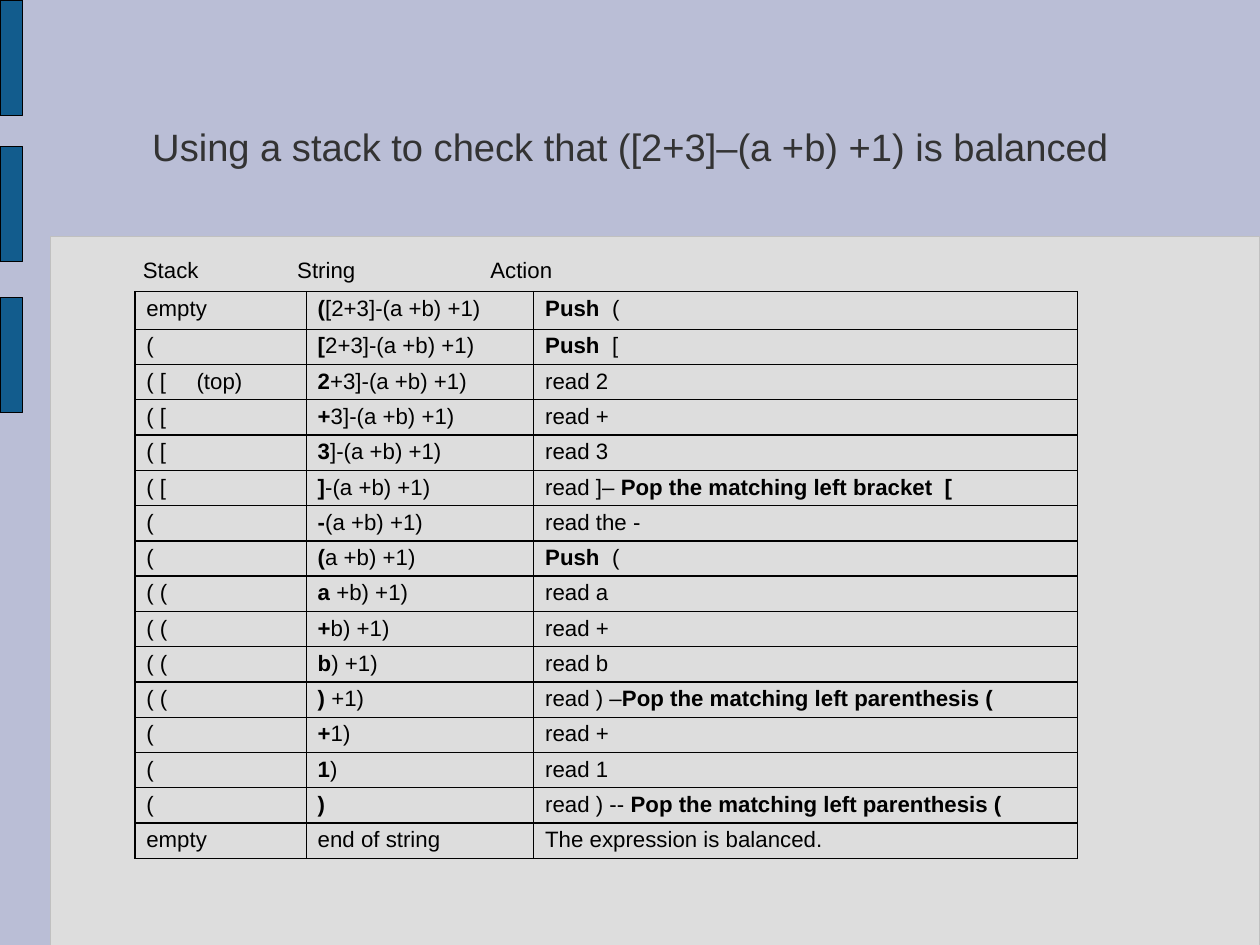
"""Build the slide that traces a stack while checking balanced brackets."""
from lxml import etree
from pptx import Presentation
from pptx.dml.color import RGBColor
from pptx.enum import shapes, text
from pptx.oxml import ns
from pptx.util import Inches, Pt

LAVENDER = RGBColor(0xBA, 0xBE, 0xD6)
PANEL_GREY = RGBColor(0xDD, 0xDD, 0xDD)
EDGE_GREY = RGBColor(0xC0, 0xC0, 0xC0)
BLUE = RGBColor(0x12, 0x5C, 0x8D)
CHARCOAL = RGBColor(0x33, 0x33, 0x33)
BLACK = RGBColor(0, 0, 0)

CM_PER_INCH = 2.54
EXPRESSION = "([2+3]-(a +b) +1)"
STEPS = [
    ("empty", "*Push*  ("),
    ("(", "*Push*  ["),
    ("( [\t(top)", "read 2"),
    ("( [", "read +"),
    ("( [", "read 3"),
    ("( [", "read ]– *Pop the matching left bracket  [*"),
    ("(", "read the -"),
    ("(", "*Push*  ("),
    ("( (", "read a"),
    ("( (", "read +"),
    ("( (", "read b"),
    ("( (", "read ) –*Pop the matching left parenthesis (*"),
    ("(", "read +"),
    ("(", "read 1"),
    ("(", "read ) -- *Pop the matching left parenthesis (*"),
]


def write(paragraph, marked, size=14, color=BLACK, spacing=0.95):
    """Write text whose parts between asterisks are bold."""
    paragraph.line_spacing = spacing
    for i, part in enumerate(marked.split("*")):
        if part:
            run = paragraph.add_run()
            run.text = part
            run.font.name = "Arial"
            run.font.size = Pt(size)
            run.font.bold = i % 2 == 1
            run.font.color.rgb = color


def set_tabs(paragraph, stops):
    """Give a paragraph left tab stops, in inches."""
    tab_list = etree.SubElement(paragraph._p.get_or_add_pPr(), ns.qn("a:tabLst"))
    for stop in stops:
        etree.SubElement(tab_list, ns.qn("a:tab"), pos=str(Inches(stop)), algn="l")


prs = Presentation()
prs.slide_width, prs.slide_height = Inches(28 / CM_PER_INCH), Inches(21 / CM_PER_INCH)
slide = prs.slides.add_slide(prs.slide_layouts[5])
slide.background.fill.solid()
slide.background.fill.fore_color.rgb = LAVENDER

blocks = [(0.44, 2.07, 10.58, 6.2, PANEL_GREY, EDGE_GREY)]
blocks += [(0, top, 0.2, 1.01, BLUE, BLACK) for top in (0, 2.6, 1.28)]
for left, top, width, height, fill, edge in blocks:
    block = slide.shapes.add_shape(
        shapes.MSO_SHAPE.ROUNDED_RECTANGLE,
        Inches(left), Inches(top), Inches(width), Inches(height))
    block.adjustments[0] = 0
    block.shadow.inherit = False
    block.fill.solid()
    block.fill.fore_color.rgb = fill
    block.line.color.rgb = edge
    block.line.width = Pt(0.75)

title = slide.shapes.title
title.left, title.top = Inches(0.81), Inches(0.61)
title.width, title.height = Inches(9.41), Inches(1.38)
headings = slide.shapes.add_textbox(Inches(1.25), Inches(2.25), Inches(8.18), Inches(0.25))
for frame in (title.text_frame, headings.text_frame):
    frame_format = dict(margin_left=0, margin_right=0, margin_top=0, margin_bottom=0,
                        word_wrap=True, vertical_anchor=text.MSO_ANCHOR.MIDDLE)
    for key, value in frame_format.items():
        setattr(frame, key, value)

title_line = title.text_frame.paragraphs[0]
title_line.alignment = text.PP_ALIGN.CENTER
write(title_line, "Using a stack to check that ([2+3]–(a +b) +1) is balanced", 24, CHARCOAL, 0.93)
heading_line = headings.text_frame.paragraphs[0]
write(heading_line, "Stack\tString\tAction", spacing=0.93)
set_tabs(heading_line, (1.35, 3.04))

rows = []
unread = EXPRESSION
for stack, action in STEPS:
    rows.append((stack, f"*{unread[0]}*{unread[1:]}", action))
    unread = unread[1:].lstrip()
rows.append(("empty", "end of string", "The expression is balanced."))

FIRST_ROW, TABLE_HEIGHT = 0.33, 4.96
other_row = (TABLE_HEIGHT - FIRST_ROW) / len(STEPS)
trace = slide.shapes.add_table(
    len(rows), 3, Inches(1.18), Inches(2.55), Inches(8.25), Inches(TABLE_HEIGHT)).table
trace.first_row = trace.horz_banding = False
for column, width in zip(trace.columns, (1.5, 1.99, 4.76)):
    column.width = Inches(width)
for r, row in enumerate(rows):
    trace.rows[r].height = Inches(other_row if r else FIRST_ROW)
    for c, entry in enumerate(row):
        cell = trace.cell(r, c)
        cell.margin_top, cell.margin_bottom = Inches(0.05), Inches(0.03)
        line = cell.text_frame.paragraphs[0]
        write(line, entry)
        if "\t" in entry:
            set_tabs(line, (0.44,))
        properties = cell._tc.get_or_add_tcPr()
        for side in ("lnL", "lnR", "lnT", "lnB"):
            border = etree.SubElement(properties, ns.qn(f"a:{side}"), w=str(Pt(1)))
            solid = etree.SubElement(border, ns.qn("a:solidFill"))
            etree.SubElement(solid, ns.qn("a:srgbClr"), val=str(BLACK))
        cell.fill.background()

prs.save("out.pptx")
